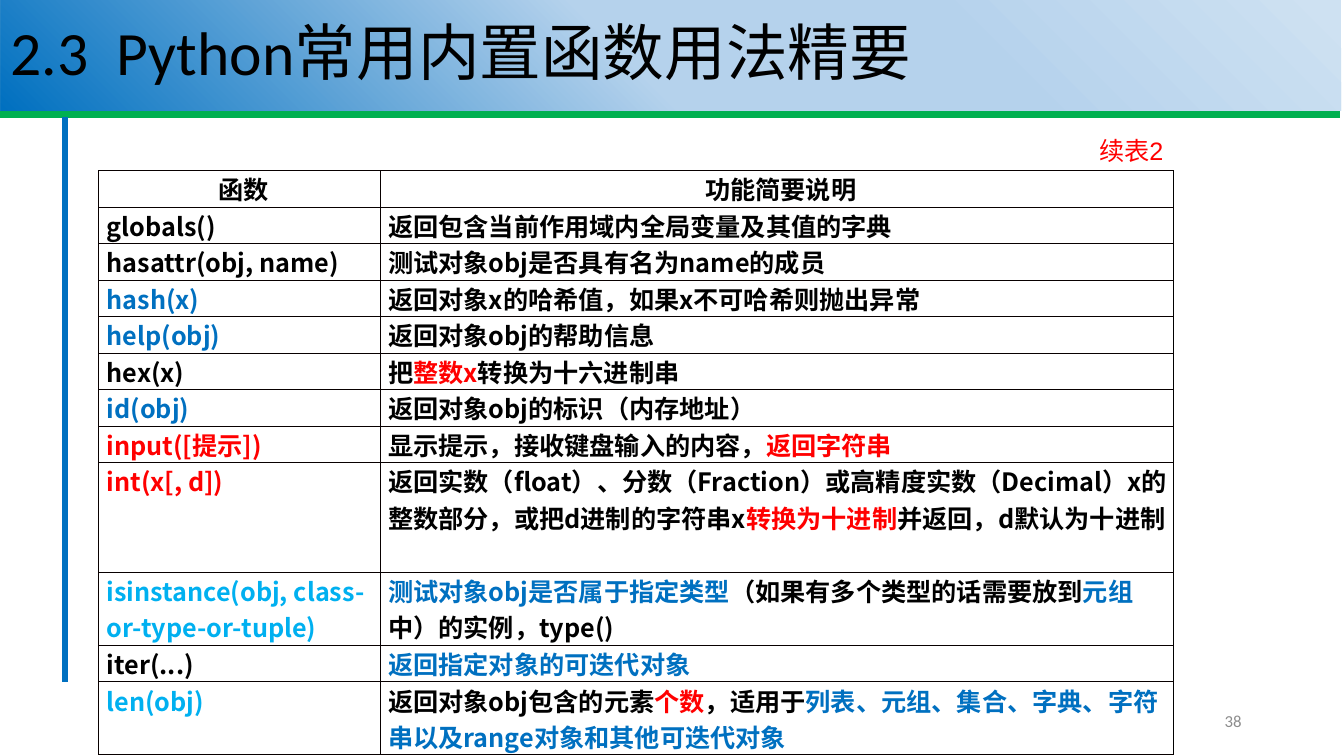
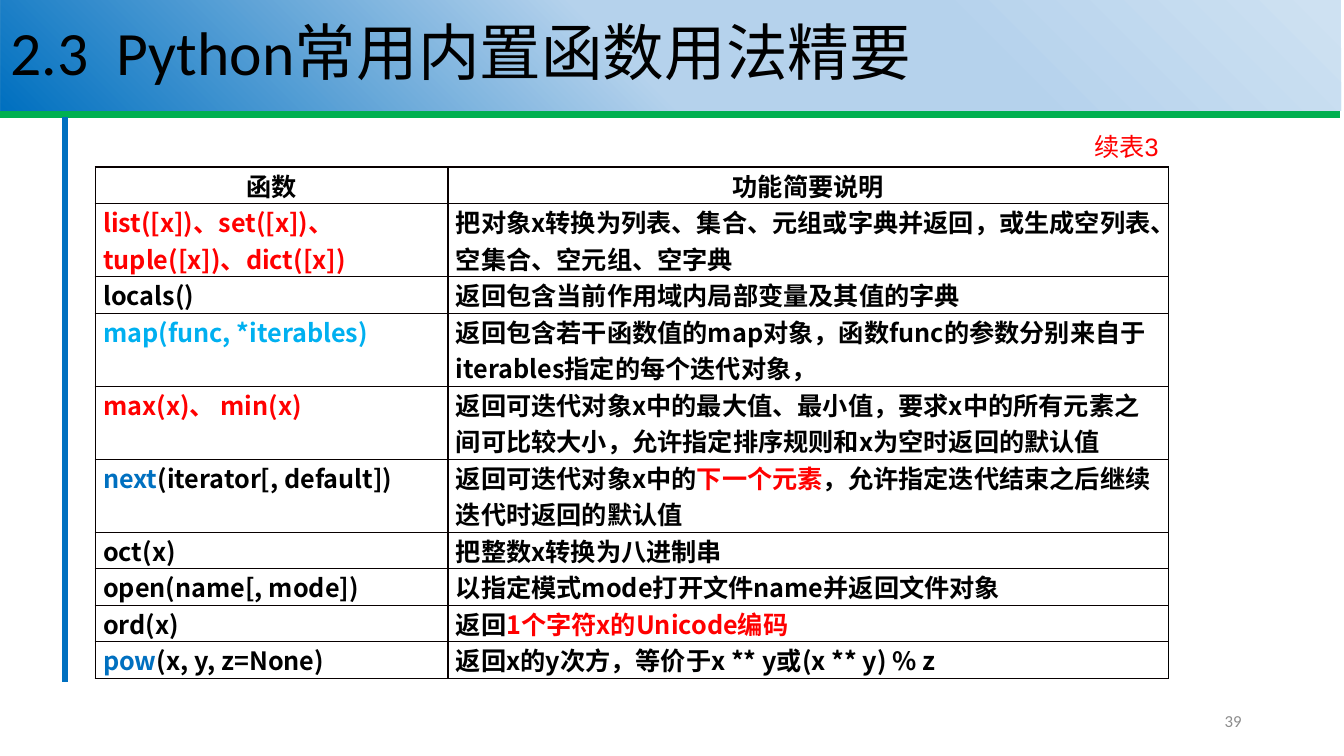
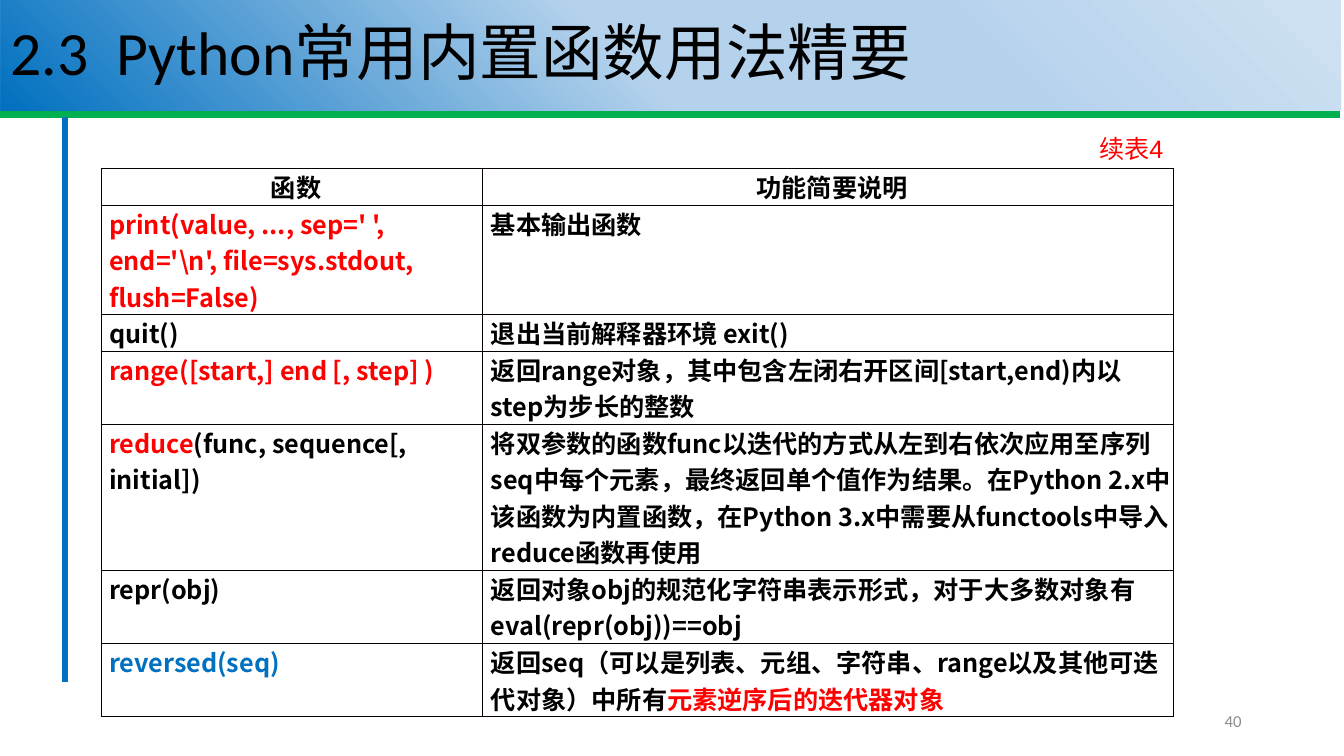
from lxml import etree
from pptx import Presentation
from pptx.dml.color import RGBColor
from pptx.enum import lang, shapes, text
from pptx.oxml import ns
from pptx.util import Cm, Pt

BLACK = RGBColor(0x00, 0x00, 0x00)
BORDER = RGBColor(0x08, 0x00, 0x00)
RED = RGBColor(0xFF, 0x00, 0x00)
BLUE = RGBColor(0x00, 0x70, 0xC0)
CYAN = RGBColor(0x00, 0xB0, 0xF0)
GREEN = RGBColor(0x00, 0xB0, 0x50)
GRAY = RGBColor(0x8C, 0x8C, 0x8C)
PALE_BLUE = RGBColor(0xCE, 0xE1, 0xF2)
LIGHT_BLUE = RGBColor(0xB5, 0xD2, 0xEC)

TITLE = "2.3  Python常用内置函数用法精要"
HEADER = ("函数", "功能简要说明")
BAND_STOPS = [(1, PALE_BLUE), (29, LIGHT_BLUE), (53, LIGHT_BLUE), (100, BLUE)]
BAND_ANGLE = 135
BAND_WIDTH = 33.78
LABEL_WIDTH, LABEL_HEIGHT = 3.66, 1.02
LINE_HEIGHT = 0.92

TITLE_FONT = {"name": "Calibri", "size": Pt(44)}
NUMBER_FONT = {"name": "Calibri", "size": Pt(12)}
LABEL_FONT = {"name": "Arial", "size": Pt(18)}
CELL_FONT = {"name": "Noto Sans CJK SC", "size": Pt(18), "bold": True}

# A cell is one run or a list of runs; a run is black text or a (text, colour) pair.
# Lengths are centimetres; line_counts gives the text lines in each table row.
PAGES = [
    {
        "number": "38", "label": "续表2", "left": 2.49, "top": 4.3,
        "columns": (7.09, 19.99), "right_margin": 0,
        "line_counts": (1, 1, 1, 1, 1, 1, 1, 1, 3, 2, 1, 2),
        "rows": [
            ("globals()", "返回包含当前作用域内全局变量及其值的字典"),
            ("hasattr(obj, name)", "测试对象obj是否具有名为name的成员"),
            (("hash(x)", BLUE), "返回对象x的哈希值，如果x不可哈希则抛出异常"),
            (("help(obj)", BLUE), "返回对象obj的帮助信息"),
            ("hex(x)", ["把", ("整数x", RED), "转换为十六进制串"]),
            (("id(obj)", BLUE), "返回对象obj的标识（内存地址）"),
            (("input([提示])", RED),
             ["显示提示，接收键盘输入的内容，", ("返回字符串", RED)]),
            (("int(x[, d])", RED),
             ["返回实数（float）、分数（Fraction）或高精度实数（Decimal）"
              "x的整数部分，或把d进制的字符串x",
              ("转换为十进制", RED), "并返回，d默认为十进制"]),
            (("isinstance(obj, class-or-type-or-tuple)", CYAN),
             [("测试对象obj是否属于指定类型", BLUE), "（如果有多个类型的话需要放到",
              ("元组", BLUE), "中）的实例，type()"]),
            ("iter(...)", ("返回指定对象的可迭代对象", BLUE)),
            (("len(obj)", CYAN),
             ["返回对象obj包含的元素", ("个数", RED), "，适用于",
              ("列表、元组、集合、字典、字符串以及range对象和其他可迭代对象", BLUE)]),
        ],
    },
    {
        "number": "39", "label": "续表3", "left": 2.4, "top": 4.21,
        "columns": (8.89, 18.16), "right_margin": 0.2,
        "line_counts": (1, 2, 1, 2, 2, 2, 1, 1, 1, 1),
        "rows": [
            (("list([x])、set([x])、tuple([x])、dict([x])", RED),
             "把对象x转换为列表、集合、元组或字典并返回，或生成空列表、空集合、空元组、空字典"),
            ("locals()", "返回包含当前作用域内局部变量及其值的字典"),
            (("map(func, *iterables)", CYAN),
             "返回包含若干函数值的map对象，函数func的参数分别来自于iterables指定的每个迭代对象，"),
            (("max(x)、 min(x)", RED),
             "返回可迭代对象x中的最大值、最小值，要求x中的所有元素之间可比较大小，"
             "允许指定排序规则和x为空时返回的默认值"),
            ([("next", BLUE), "(iterator[, default])"],
             ["返回可迭代对象x中的", ("下一个元素", RED),
              "，允许指定迭代结束之后继续迭代时返回的默认值"]),
            ("oct(x)", "把整数x转换为八进制串"),
            ("open(name[, mode])", "以指定模式mode打开文件name并返回文件对象"),
            ("ord(x)", ["返回", ("1个字符x的Unicode编码", RED)]),
            ([("pow", BLUE), "(x, y, z=None)"],
             "返回x的y次方，等价于x ** y或(x ** y) % z"),
        ],
    },
    {
        "number": "40", "label": "续表4", "left": 2.55, "top": 4.25,
        "columns": (9.62, 17.4), "right_margin": 0,
        "line_counts": (1, 3, 1, 2, 4, 2, 2),
        "rows": [
            (("print(value, ..., sep=' ', end='\\n', file=sys.stdout, flush=False)", RED),
             "基本输出函数"),
            ("quit()", "退出当前解释器环境 exit()"),
            (("range([start,] end [, step] )", RED),
             "返回range对象，其中包含左闭右开区间[start,end)内以step为步长的整数"),
            ([("reduce", RED), "(func, sequence[, initial])"],
             "将双参数的函数func以迭代的方式从左到右依次应用至序列seq中每个元素，"
             "最终返回单个值作为结果。在Python 2.x中该函数为内置函数，"
             "在Python 3.x中需要从functools中导入reduce函数再使用"),
            ("repr(obj)",
             "返回对象obj的规范化字符串表示形式，对于大多数对象有eval(repr(obj))==obj"),
            (("reversed(seq)", BLUE),
             ["返回seq（可以是列表、元组、字符串、range以及其他可迭代对象）中所有",
              ("元素逆序后的迭代器对象", RED)]),
        ],
    },
]


def set_attributes(target, values):
    for name, value in values.items():
        setattr(target, name, value)


def add_child(parent, tag, **attributes):
    return etree.SubElement(parent, ns.qn(tag), attributes)


def add_solid_fill(parent, color):
    add_child(add_child(parent, "a:solidFill"), "a:srgbClr", val=str(color))


def write_runs(paragraph, content, font):
    """Fill a paragraph with one run or a list of runs, black unless a colour is given."""
    for item in content if isinstance(content, list) else [content]:
        words, color = item if isinstance(item, tuple) else (item, BLACK)
        run = paragraph.add_run()
        run.text = words
        set_attributes(run.font, font)
        run.font.language_id = lang.MSO_LANGUAGE_ID.SIMPLIFIED_CHINESE
        run.font.color.rgb = color
        add_child(run.font._element, "a:ea", typeface=CELL_FONT["name"])


def add_line(slide, start, end, color, width):
    ends = [Cm(value) for value in (*start, *end)]
    line = slide.shapes.add_connector(shapes.MSO_CONNECTOR.STRAIGHT, *ends)
    line.line.color.rgb = color
    line.line.width = Pt(width)
    add_child(line._element.spPr, "a:effectLst")


def add_title_band(slide):
    band = slide.shapes.add_shape(
        shapes.MSO_SHAPE.RECTANGLE, Cm(0.02), 0, Cm(BAND_WIDTH), Cm(2.79))
    band.shadow.inherit = False
    band.line.fill.background()
    band.fill.gradient()
    gradient = band._element.spPr.find(ns.qn("a:gradFill"))
    for child in list(gradient):
        gradient.remove(child)
    stops = add_child(gradient, "a:gsLst")
    for position, color in BAND_STOPS:
        stop = add_child(stops, "a:gs", pos=str(position * 1000))
        add_child(stop, "a:srgbClr", val=str(color))
    add_child(gradient, "a:lin", ang=str(BAND_ANGLE * 60000), scaled="0")

    band.text_frame.vertical_anchor = text.MSO_ANCHOR.MIDDLE
    paragraph = band.text_frame.paragraphs[0]
    set_attributes(paragraph, {"alignment": text.PP_ALIGN.LEFT, "line_spacing": 0.9})
    write_runs(paragraph, TITLE, TITLE_FONT)


def add_right_text(slide, box, content, font, **frame_format):
    frame = slide.shapes.add_textbox(*[Cm(value) for value in box]).text_frame
    set_attributes(frame, {"word_wrap": True, **frame_format})
    paragraph = frame.paragraphs[0]
    paragraph.alignment = text.PP_ALIGN.RIGHT
    write_runs(paragraph, content, font)


def add_borders(cell, is_last_column):
    properties = cell._tc.get_or_add_tcPr()
    for side in "LRTB":
        outer = is_last_column and side == "R"
        width, color = (0.75, BLACK) if outer else (1, BORDER)
        border = add_child(properties, f"a:ln{side}", w=str(Pt(width)))
        add_solid_fill(border, color)


def add_function_table(slide, page):
    rows = [HEADER, *page["rows"]]
    columns = page["columns"]
    heights = [count * LINE_HEIGHT for count in page["line_counts"]]
    table = slide.shapes.add_table(
        len(rows), len(columns), Cm(page["left"]), Cm(page["top"]),
        Cm(sum(columns)), Cm(sum(heights))).table
    set_attributes(table, {"first_row": False, "horz_banding": False})
    for column, width in zip(table.columns, columns):
        column.width = Cm(width)
    for row, height in zip(table.rows, heights):
        row.height = Cm(height)

    cell_format = {"margin_left": Cm(0.2), "margin_right": Cm(page["right_margin"]),
                   "margin_top": 0, "margin_bottom": 0}
    for row_index, contents in enumerate(rows):
        for column_index, content in enumerate(contents):
            cell = table.cell(row_index, column_index)
            set_attributes(cell, cell_format)
            add_borders(cell, column_index == len(columns) - 1)
            cell.fill.background()
            paragraph = cell.text_frame.paragraphs[0]
            is_header = row_index == 0
            paragraph.alignment = text.PP_ALIGN.CENTER if is_header else text.PP_ALIGN.LEFT
            write_runs(paragraph, content, CELL_FONT)


def add_page(presentation, page):
    slide = presentation.slides.add_slide(presentation.slide_layouts[6])
    add_line(slide, (0, 2.89), (BAND_WIDTH, 2.89), GREEN, 5.25)
    add_line(slide, (1.64, 2.95), (1.64, 17.18), BLUE, 3.75)
    add_title_band(slide)
    add_right_text(slide, (23.92, 17.65, 7.62, 1.02), (page["number"], GRAY),
                   NUMBER_FONT, vertical_anchor=text.MSO_ANCHOR.MIDDLE)
    add_function_table(slide, page)
    table_right = page["left"] + sum(page["columns"])
    label_box = (table_right - LABEL_WIDTH, page["top"] - LABEL_HEIGHT,
                 LABEL_WIDTH, LABEL_HEIGHT)
    add_right_text(slide, label_box, (page["label"], RED), LABEL_FONT,
                   auto_size=text.MSO_AUTO_SIZE.SHAPE_TO_FIT_TEXT)


def main():
    presentation = Presentation()
    set_attributes(presentation, {"slide_width": Cm(33.87), "slide_height": Cm(19.05)})
    for page in PAGES:
        add_page(presentation, page)
    presentation.save("out.pptx")


if __name__ == "__main__":
    main()
